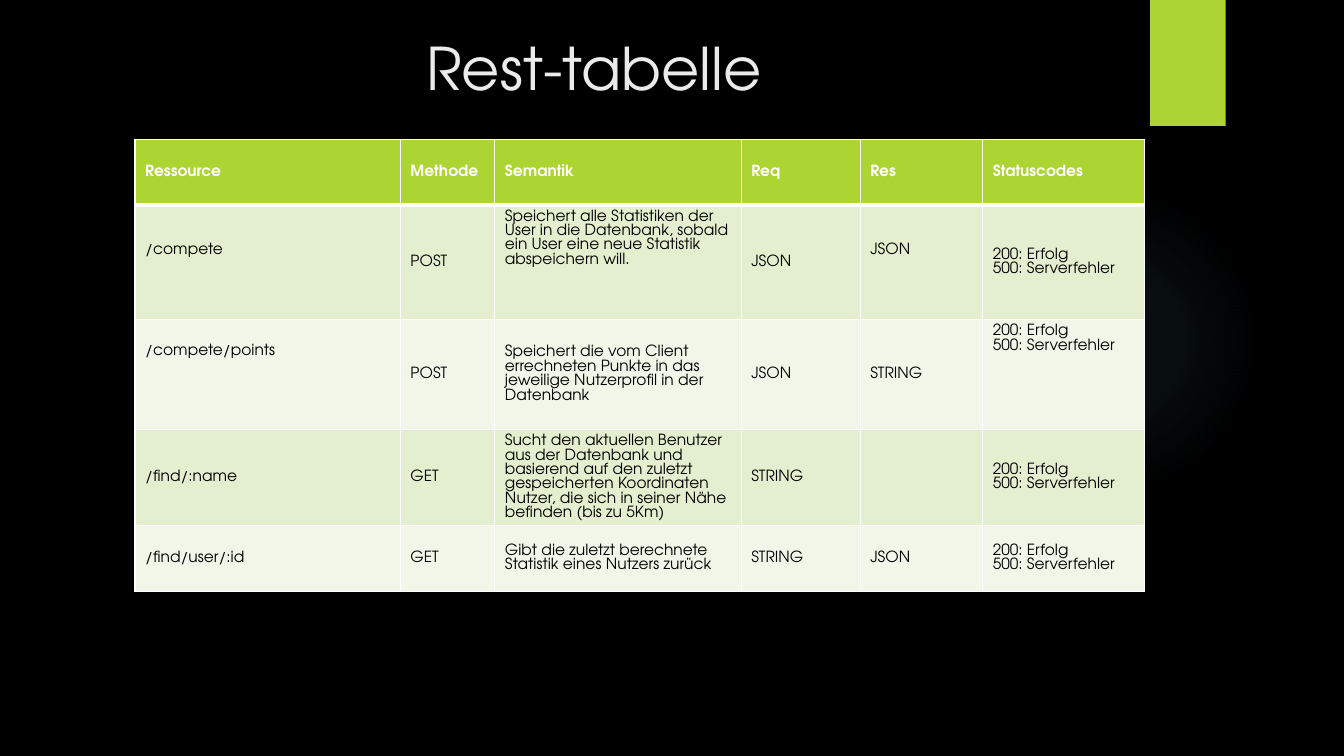
from lxml import etree
from pptx import Presentation
from pptx.dml.color import RGBColor
from pptx.enum.shapes import MSO_SHAPE
from pptx.enum.text import MSO_ANCHOR
from pptx.oxml.ns import qn
from pptx.util import Pt

RECT, OVAL = MSO_SHAPE.RECTANGLE, MSO_SHAPE.OVAL
TOP, MIDDLE = MSO_ANCHOR.TOP, MSO_ANCHOR.MIDDLE

# Content
TITLE = "Rest-tabelle"
STATUS = "200: Erfolg\n500: Serverfehler"
ROWS = [
    ("Ressource", "Methode", "Semantik", "Req", "Res", "Statuscodes"),
    ("/compete", "POST",
     "Speichert alle Statistiken der User in die Datenbank, sobald "
     "ein User eine neue Statistik abspeichern will.",
     "JSON", "JSON", STATUS),
    ("/compete/points", "POST",
     "Speichert die vom Client errechneten Punkte in das "
     "jeweilige Nutzerprofil in der Datenbank",
     "JSON", "STRING", STATUS),
    ("/find/:name", "GET",
     "Sucht den aktuellen Benutzer aus der Datenbank und basierend auf den "
     "zuletzt gespeicherten Koordinaten Nutzer, die sich in seiner Nähe "
     "befinden (bis zu 5Km)",
     "STRING", "", STATUS),
    ("/find/user/:id", "GET",
     "Gibt die zuletzt berechnete Statistik eines Nutzers zurück",
     "STRING", "JSON", STATUS),
]

# Layout, in points
COL_WIDTHS = [189.5, 67.5, 176, 85, 87.5, 115.5]
ROW_HEIGHTS = [46.8, 82, 78.4, 69, 46.8]
TABLE_LEFT, TABLE_TOP = 96.5, 99.4
LINE_PITCH = 10.3
TOP_CELLS = {(1, 2), (2, 5)}
BOTTOM_MARGINS = {(1, 0): 21, (1, 4): 21, (2, 0): 37}

# Style
FONT = "TeX Gyre Adventor"
BLACK = RGBColor(0x00, 0x00, 0x00)
WHITE = RGBColor(0xFF, 0xFF, 0xFF)
TITLE_GREY = RGBColor(0xEB, 0xEB, 0xEB)
GREEN = RGBColor(0xAC, 0xD4, 0x33)
BANDS = [RGBColor(0xF1, 0xF7, 0xE8), RGBColor(0xE3, 0xEF, 0xCE)]
GLOW = RGBColor(0x7A, 0xC4, 0xF0)
GLOW_STOPS = [(0, 7), (36, 6), (69, 0)]  # position %, opacity %


def add_plain_shape(slide, kind, left, top, width, height):
    sp = slide.shapes.add_shape(kind, Pt(left), Pt(top), Pt(width), Pt(height))
    sp.shadow.inherit = False
    sp.line.fill.background()
    return sp


def style_run(r, size, color, bold=False):
    r.font.name, r.font.size, r.font.bold = FONT, Pt(size), bold
    r.font.color.rgb = color


def set_glow(sp):
    sp.fill.background()
    grad = etree.Element(qn("a:gradFill"), rotWithShape="1")
    stops = etree.SubElement(grad, qn("a:gsLst"))
    for pos, alpha in GLOW_STOPS:
        gs = etree.SubElement(stops, qn("a:gs"), pos=str(pos * 1000))
        clr = etree.SubElement(gs, qn("a:srgbClr"), val=str(GLOW))
        etree.SubElement(clr, qn("a:alpha"), val=str(alpha * 1000))
    radial = etree.SubElement(grad, qn("a:path"), path="circle")
    etree.SubElement(radial, qn("a:fillToRect"), l="50000", t="50000", r="50000", b="50000")
    sp_pr = sp._element.spPr
    sp_pr.replace(sp_pr.find(qn("a:noFill")), grad)


def set_borders(cell, top, bottom):
    tc_pr = cell._tc.get_or_add_tcPr()
    widths = {"lnL": 1, "lnR": 1, "lnT": top, "lnB": bottom}
    for i, (side, width) in enumerate(widths.items()):
        ln = etree.Element(qn("a:" + side), w=str(Pt(width)))
        fill = etree.SubElement(ln, qn("a:solidFill"))
        etree.SubElement(fill, qn("a:srgbClr"), val=str(WHITE))
        tc_pr.insert(i, ln)


def fill_cell(cell, row, col, text):
    header = row == 0
    cell.fill.solid()
    cell.fill.fore_color.rgb = GREEN if header else BANDS[row % 2]
    set_borders(cell, 3 if row == 1 else 1, 3 if header else 1)
    cell.vertical_anchor = TOP if (row, col) in TOP_CELLS else MIDDLE
    if (row, col) in BOTTOM_MARGINS:
        cell.margin_bottom = Pt(BOTTOM_MARGINS[row, col])
    cell.text_frame.text = text
    for p in cell.text_frame.paragraphs:
        p.line_spacing = Pt(LINE_PITCH)
        for r in p.runs:
            style_run(r, 11, WHITE if header else BLACK, header)


prs = Presentation()
prs.slide_width, prs.slide_height = Pt(960), Pt(540)
slide = prs.slides.add_slide(prs.slide_layouts[6])
slide.background.fill.solid()
slide.background.fill.fore_color.rgb = BLACK

# Glow and corner tab
set_glow(add_plain_shape(slide, OVAL, 677.5, 131.8, 221.8, 221.8))
tab = add_plain_shape(slide, RECT, 821.5, 0, 54, 90)
tab.fill.solid()
tab.fill.fore_color.rgb = GREEN

# Title
tf = slide.shapes.add_textbox(Pt(297.4), Pt(19.4), Pt(297.4), Pt(48.2)).text_frame
tf.word_wrap = True
tf.vertical_anchor = TOP
tf.text = TITLE
style_run(tf.paragraphs[0].runs[0], 42, TITLE_GREY)

# Table
table = slide.shapes.add_table(
    len(ROWS), len(COL_WIDTHS), Pt(TABLE_LEFT), Pt(TABLE_TOP),
    Pt(sum(COL_WIDTHS)), Pt(sum(ROW_HEIGHTS))).table
for column, width in zip(table.columns, COL_WIDTHS):
    column.width = Pt(width)
for i, (height, texts) in enumerate(zip(ROW_HEIGHTS, ROWS)):
    table.rows[i].height = Pt(height)
    for j, text in enumerate(texts):
        fill_cell(table.cell(i, j), i, j, text)

prs.save("out.pptx")
